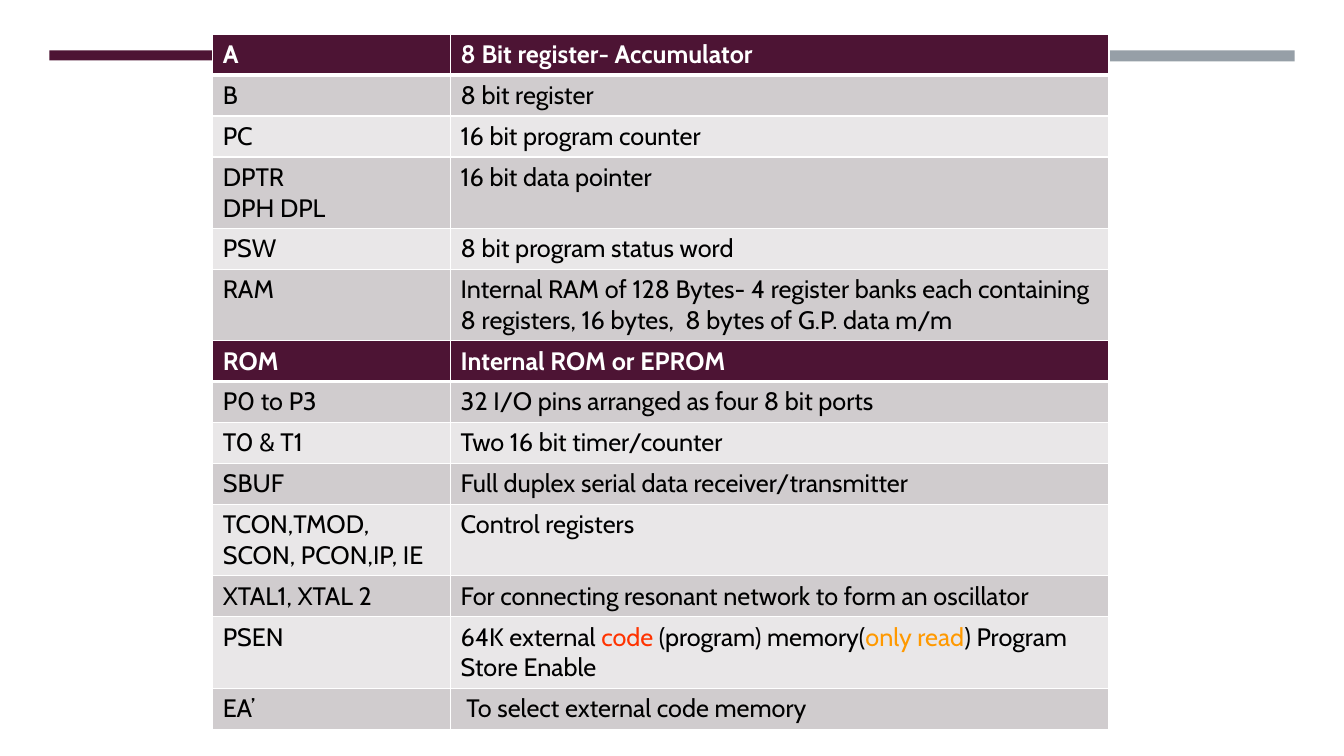
from pptx import Presentation
from pptx.dml.color import RGBColor
from pptx.enum.shapes import MSO_SHAPE
from pptx.oxml import parse_xml
from pptx.oxml.ns import nsdecls
from pptx.util import Inches, Pt

RECTANGLE = MSO_SHAPE.RECTANGLE

THEME = {
    "font": "Cabin",
    "size": 18,
    "plum": "4D1434",
    "gray": "969FA7",
    "magenta": "903163",
    "white": "FFFFFF",
    "black": "000000",
    "bands": ("E9E7E8", "D0CCCE"),
    "accents": {"code": "FF3300", "only read": "FF9900"},
}

SINGLE, DOUBLE = 0.4, 0.7

REGISTERS = [
    ("A", "8 Bit register- Accumulator", SINGLE),
    ("B", "8 bit register", SINGLE),
    ("PC", "16 bit program counter", SINGLE),
    ("DPTR\nDPH DPL", "16 bit data pointer", DOUBLE),
    ("PSW", "8 bit program status word", SINGLE),
    ("RAM", "Internal RAM of 128 Bytes- 4 register banks each containing "
            "8 registers, 16 bytes,  8 bytes of G.P. data m/m", DOUBLE),
]
PERIPHERALS = [
    ("ROM", "Internal ROM or EPROM", SINGLE),
    ("P0 to P3", "32 I/O pins arranged as four 8 bit ports", SINGLE),
    ("T0 & T1", "Two 16 bit timer/counter", SINGLE),
    ("SBUF", "Full duplex serial data receiver/transmitter", SINGLE),
    ("TCON,TMOD, SCON, PCON,IP, IE", "Control registers", DOUBLE),
    ("XTAL1, XTAL 2", "For connecting resonant network to form an oscillator", SINGLE),
    ("PSEN", "64K external |code| (program) memory(|only read|) Program Store Enable", DOUBLE),
    ("EA’", " To select external code memory", SINGLE),
]


def write(text, *, frame, color, bold):
    for number, line in enumerate(text.split("\n")):
        paragraph = frame.add_paragraph() if number else frame.paragraphs[0]
        for piece in line.split("|"):
            run = paragraph.add_run()
            run.text = piece
            run.font.name = THEME["font"]
            run.font.size = Pt(THEME["size"])
            run.font.bold = bold
            run.font.color.rgb = RGBColor.from_string(THEME["accents"].get(piece, color))


def add_borders(cell, bottom):
    properties = cell._tc.get_or_add_tcPr()
    for side, width in (("L", 1), ("R", 1), ("T", 1), ("B", bottom)):
        properties.append(parse_xml(
            f'<a:ln{side} {nsdecls("a")} w="{Pt(width)}"><a:solidFill>'
            f'<a:srgbClr val="{THEME["white"]}"/></a:solidFill></a:ln{side}>'))


presentation = Presentation()
presentation.slide_width = Inches(13.33)
presentation.slide_height = Inches(7.5)
slide = presentation.slides.add_slide(presentation.slide_layouts[6])

for left, height, color in ((0.49, 0.1, "plum"), (8.79, 0.11, "gray"), (4.64, 0.1, "magenta")):
    bar = slide.shapes.add_shape(RECTANGLE, Inches(left), Inches(0.5), Inches(4.05), Inches(height))
    bar.shadow.inherit = False
    bar.fill.solid()
    bar.fill.fore_color.rgb = RGBColor.from_string(THEME[color])
    bar.line.fill.background()

for top, entries in ((0.34, REGISTERS), (3.38, PERIPHERALS)):
    total = sum(height for _, _, height in entries)
    table = slide.shapes.add_table(
        len(entries), 2, Inches(2.11), Inches(top), Inches(8.89), Inches(total)).table
    table.columns[0].width = Inches(2.36)
    table.columns[1].width = Inches(6.53)
    for index, (name, description, height) in enumerate(entries):
        heading = index == 0
        table.rows[index].height = Inches(height)
        for column, text in enumerate((name, description)):
            cell = table.cell(index, column)
            add_borders(cell, 3 if heading else 1)
            cell.fill.solid()
            cell.fill.fore_color.rgb = RGBColor.from_string(
                THEME["plum"] if heading else THEME["bands"][index % 2])
            write(text, frame=cell.text_frame, bold=heading,
                  color=THEME["white" if heading else "black"])

presentation.save("out.pptx")
